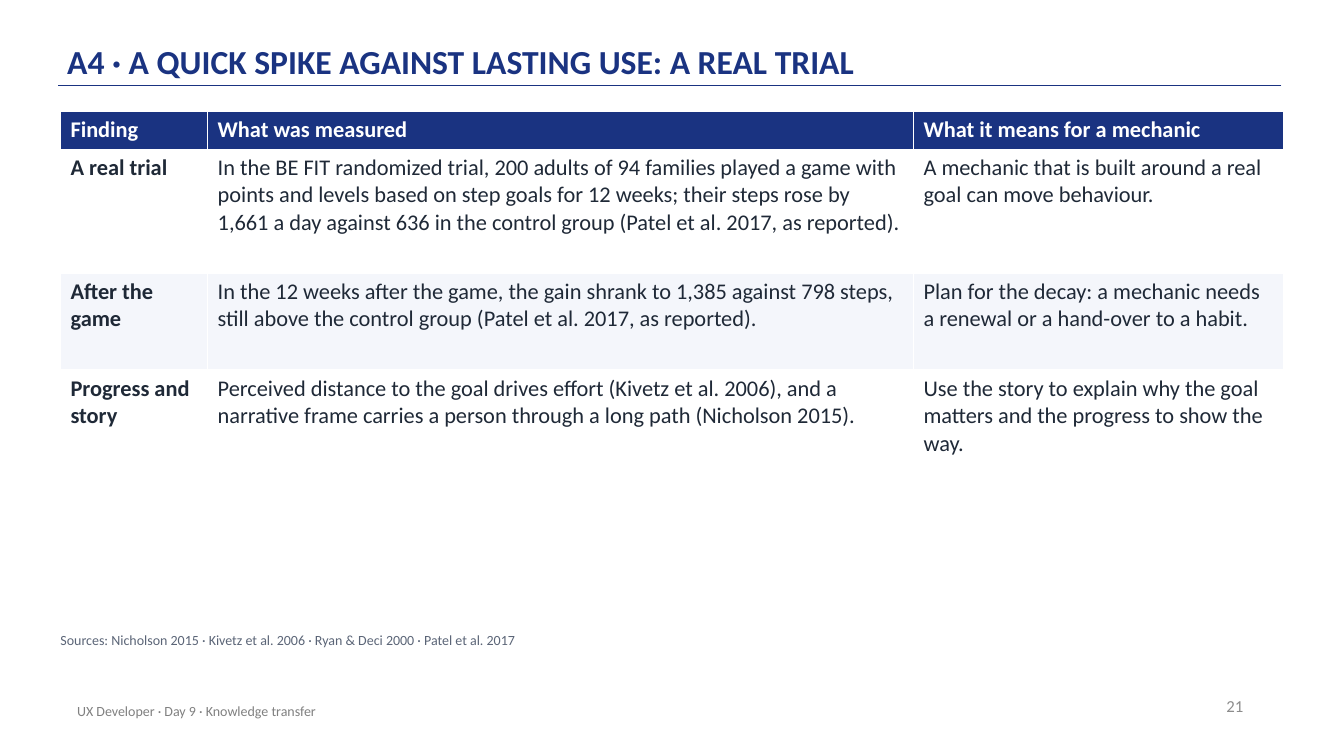
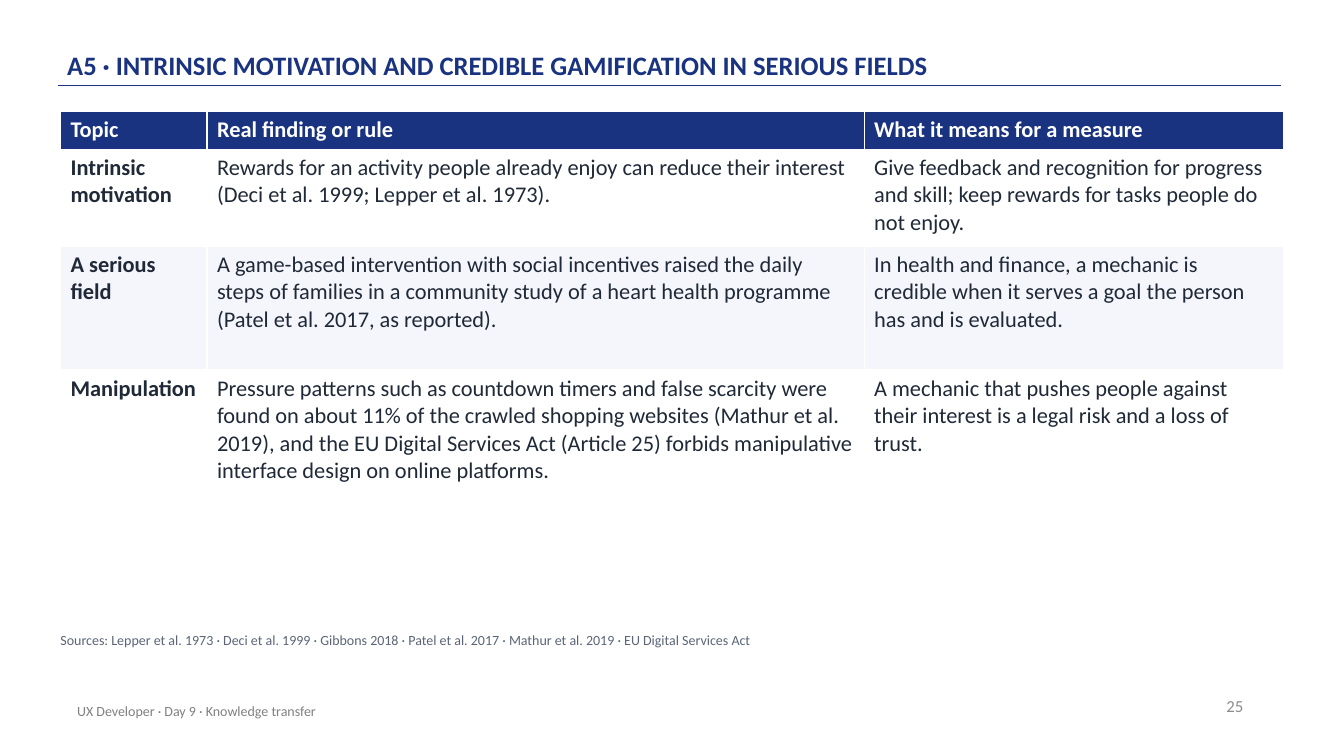
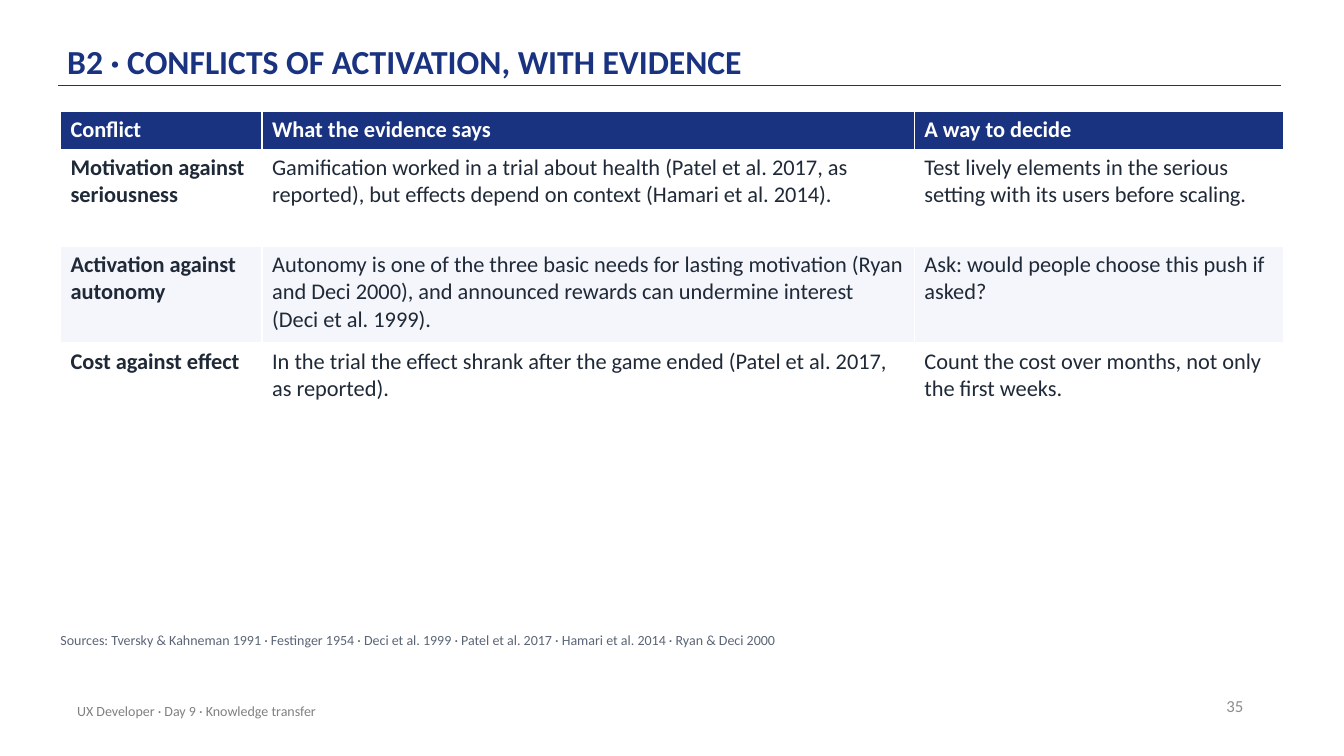
"""Build three evidence-table slides for the knowledge transfer day."""
from dataclasses import dataclass

import pptx
import pptx.dml.color
import pptx.enum.shapes
import pptx.enum.text
import pptx.oxml.ns
import pptx.oxml.xmlchemy
import pptx.presentation
import pptx.slide
import pptx.text.text
import pptx.util

FONT = "Calibri"
COLOURS = {
    "navy": "1A3381",
    "ink": "1F2937",
    "slate": "5B6577",
    "grey": "808080",
    "number": "8C8C8C",
    "white": "FFFFFF",
    "stripe": "F4F6FB",
}
ALIGN = pptx.enum.text.PP_ALIGN
ANCHOR = pptx.enum.text.MSO_ANCHOR
SLIDE_WIDTH = pptx.util.Inches(13.33)
SLIDE_HEIGHT = pptx.util.Inches(7.5)
FOOTER = "UX Developer · Day 9 · Knowledge transfer"


@dataclass(frozen=True)
class Area:
    """A rectangle in percent of the slide's width and height."""

    left: float
    top: float
    width: float
    height: float


@dataclass(frozen=True)
class EvidenceSlide:
    """One slide: title, table with its column shares and line counts, sources."""

    number: int
    title: str
    column_shares: tuple[float, ...]
    line_counts: tuple[int, ...]
    rows: tuple[tuple[str, ...], ...]
    sources: str
    title_size: int = 24


TITLE_AREA = Area(5, 1.6, 82.5, 9.6)
NUMBER_AREA = Area(70.75, 90.67, 22.5, 5.33)
FOOTER_AREA = Area(5, 91.33, 50.25, 5.33)
SOURCES_AREA = Area(4.5, 83.6, 90.75, 4)
TABLE_AREA = Area(4.5, 14.67, 91, 40)
RULE_LEFT, RULE_RIGHT, RULE_TOP = 4.35, 95.35, 11.33
HEADER_SHARE, LINE_SHARE, ROW_PADDING_SHARE = 5.07, 3.6, 2.0

SLIDES = (
    EvidenceSlide(
        number=21,
        title="A4 · A QUICK SPIKE AGAINST LASTING USE: A REAL TRIAL",
        column_shares=(10.95, 52.52, 27.53),
        line_counts=(4, 3, 3),
        rows=(
            ("Finding", "What was measured", "What it means for a mechanic"),
            (
                "A real trial",
                "In the BE FIT randomized trial, 200 adults of 94 families played a game with "
                "points and levels based on step goals for 12 weeks; their steps rose by 1,661 "
                "a day against 636 in the control group (Patel et al. 2017, as reported).",
                "A mechanic that is built around a real goal can move behaviour.",
            ),
            (
                "After the game",
                "In the 12 weeks after the game, the gain shrank to 1,385 against 798 steps, "
                "still above the control group (Patel et al. 2017, as reported).",
                "Plan for the decay: a mechanic needs a renewal or a hand-over to a habit.",
            ),
            (
                "Progress and story",
                "Perceived distance to the goal drives effort (Kivetz et al. 2006), and a "
                "narrative frame carries a person through a long path (Nicholson 2015).",
                "Use the story to explain why the goal matters and the progress to show the way.",
            ),
        ),
        sources="Nicholson 2015 · Kivetz et al. 2006 · Ryan & Deci 2000 · Patel et al. 2017",
    ),
    EvidenceSlide(
        number=25,
        title="A5 · INTRINSIC MOTIVATION AND CREDIBLE GAMIFICATION IN SERIOUS FIELDS",
        title_size=19,
        column_shares=(10.9, 48.9, 31.2),
        line_counts=(3, 4, 5),
        rows=(
            ("Topic", "Real finding or rule", "What it means for a measure"),
            (
                "Intrinsic motivation",
                "Rewards for an activity people already enjoy can reduce their interest "
                "(Deci et al. 1999; Lepper et al. 1973).",
                "Give feedback and recognition for progress and skill; keep rewards for tasks "
                "people do not enjoy.",
            ),
            (
                "A serious field",
                "A game-based intervention with social incentives raised the daily steps of "
                "families in a community study of a heart health programme (Patel et al. 2017, "
                "as reported).",
                "In health and finance, a mechanic is credible when it serves a goal the person "
                "has and is evaluated.",
            ),
            (
                "Manipulation",
                "Pressure patterns such as countdown timers and false scarcity were found on "
                "about 11% of the crawled shopping websites (Mathur et al. 2019), and the EU "
                "Digital Services Act (Article 25) forbids manipulative interface design on "
                "online platforms.",
                "A mechanic that pushes people against their interest is a legal risk and a "
                "loss of trust.",
            ),
        ),
        sources="Lepper et al. 1973 · Deci et al. 1999 · Gibbons 2018 · Patel et al. 2017 · "
        "Mathur et al. 2019 · EU Digital Services Act",
    ),
    EvidenceSlide(
        number=35,
        title="B2 · CONFLICTS OF ACTIVATION, WITH EVIDENCE",
        column_shares=(15, 48.53, 27.5),
        line_counts=(3, 3, 2),
        rows=(
            ("Conflict", "What the evidence says", "A way to decide"),
            (
                "Motivation against seriousness",
                "Gamification worked in a trial about health (Patel et al. 2017, as reported), "
                "but effects depend on context (Hamari et al. 2014).",
                "Test lively elements in the serious setting with its users before scaling.",
            ),
            (
                "Activation against autonomy",
                "Autonomy is one of the three basic needs for lasting motivation (Ryan and Deci "
                "2000), and announced rewards can undermine interest (Deci et al. 1999).",
                "Ask: would people choose this push if asked?",
            ),
            (
                "Cost against effect",
                "In the trial the effect shrank after the game ended (Patel et al. 2017, as "
                "reported).",
                "Count the cost over months, not only the first weeks.",
            ),
        ),
        sources="Tversky & Kahneman 1991 · Festinger 1954 · Deci et al. 1999 · "
        "Patel et al. 2017 · Hamari et al. 2014 · Ryan & Deci 2000",
    ),
)


def across(share: float) -> pptx.util.Emu:
    """Turn a percentage of the slide's width into a length."""
    return pptx.util.Emu(round(SLIDE_WIDTH * share / 100))


def down(share: float) -> pptx.util.Emu:
    """Turn a percentage of the slide's height into a length."""
    return pptx.util.Emu(round(SLIDE_HEIGHT * share / 100))


def place(area: Area) -> tuple[pptx.util.Emu, ...]:
    """Give an area as left, top, width and height."""
    return across(area.left), down(area.top), across(area.width), down(area.height)


def rgb(colour: str) -> pptx.dml.color.RGBColor:
    """Look up a named colour."""
    return pptx.dml.color.RGBColor.from_string(COLOURS[colour])


def write(
    frame: pptx.text.text.TextFrame,
    text: str,
    *,
    size: int,
    colour: str,
    bold: bool = False,
    align: ALIGN = ALIGN.LEFT,
    line_spacing: float | None = None,
    space_after: int | None = None,
) -> None:
    """Put one formatted paragraph into a text frame."""
    paragraph = frame.paragraphs[0]
    paragraph.alignment = align
    if line_spacing is not None:
        paragraph.line_spacing = line_spacing
    if space_after is not None:
        paragraph.space_after = pptx.util.Pt(space_after)
    run = paragraph.add_run()
    run.text = text
    run.font.name = FONT
    run.font.size = pptx.util.Pt(size)
    run.font.bold = bold
    run.font.color.rgb = rgb(colour)


def add_frame(
    slide: pptx.slide.Slide,
    area: Area,
    anchor: ANCHOR,
    side_inset: float = 0.1,
    end_inset: float = 0.05,
) -> pptx.text.text.TextFrame:
    """Add a wrapping text box and return its text frame."""
    frame = slide.shapes.add_textbox(*place(area)).text_frame
    frame.word_wrap = True
    frame.vertical_anchor = anchor
    frame.margin_left = frame.margin_right = pptx.util.Inches(side_inset)
    frame.margin_top = frame.margin_bottom = pptx.util.Inches(end_inset)
    return frame


def draw_title_rule(slide: pptx.slide.Slide) -> None:
    """Draw the line under the title."""
    rule = slide.shapes.add_connector(
        pptx.enum.shapes.MSO_CONNECTOR.STRAIGHT,
        across(RULE_RIGHT), down(RULE_TOP), across(RULE_LEFT), down(RULE_TOP),
    )
    rule.line.color.rgb = rgb("navy")
    rule.line.width = pptx.util.Pt(1)
    properties = rule.element.find(pptx.oxml.ns.qn("p:spPr"))
    properties.append(pptx.oxml.xmlchemy.OxmlElement("a:effectLst"))


def draw_evidence_table(slide: pptx.slide.Slide, content: EvidenceSlide) -> None:
    """Draw the table with a navy header and striped rows."""
    table = slide.shapes.add_table(
        len(content.rows), len(content.column_shares), *place(TABLE_AREA)
    ).table
    table.horz_banding = False
    for column, share in zip(table.columns, content.column_shares):
        column.width = across(share)
    row_shares = [HEADER_SHARE] + [
        ROW_PADDING_SHARE + LINE_SHARE * count for count in content.line_counts
    ]
    for row_index, (row, share) in enumerate(zip(table.rows, row_shares)):
        row.height = down(share)
        is_header = row_index == 0
        fill = "navy" if is_header else ("stripe", "white")[row_index % 2]
        for column_index, text in enumerate(content.rows[row_index]):
            cell = table.cell(row_index, column_index)
            cell.fill.solid()
            cell.fill.fore_color.rgb = rgb(fill)
            write(
                cell.text_frame, text, size=16,
                colour="white" if is_header else "ink",
                bold=is_header or column_index == 0,
            )


def draw_slide(deck: pptx.presentation.Presentation, content: EvidenceSlide) -> None:
    """Add one evidence slide to the deck."""
    slide = deck.slides.add_slide(deck.slide_layouts[6])
    slide.background.fill.solid()
    slide.background.fill.fore_color.rgb = rgb("white")
    draw_title_rule(slide)
    title = add_frame(slide, TITLE_AREA, ANCHOR.BOTTOM, 0, 0.03)
    write(title, content.title, size=content.title_size, colour="navy", bold=True,
          line_spacing=0.9)
    number = add_frame(slide, NUMBER_AREA, ANCHOR.MIDDLE)
    write(number, str(content.number), size=12, colour="number", align=ALIGN.RIGHT)
    write(add_frame(slide, FOOTER_AREA, ANCHOR.MIDDLE), FOOTER, size=10, colour="grey")
    draw_evidence_table(slide, content)
    sources = add_frame(slide, SOURCES_AREA, ANCHOR.TOP, 0, 0)
    sources.auto_size = pptx.enum.text.MSO_AUTO_SIZE.SHAPE_TO_FIT_TEXT
    write(sources, f"Sources: {content.sources}", size=10, colour="slate", space_after=6)


def main() -> None:
    """Build and save the deck."""
    deck = pptx.Presentation()
    deck.slide_width = SLIDE_WIDTH
    deck.slide_height = SLIDE_HEIGHT
    for content in SLIDES:
        draw_slide(deck, content)
    deck.save("out.pptx")


if __name__ == "__main__":
    main()
